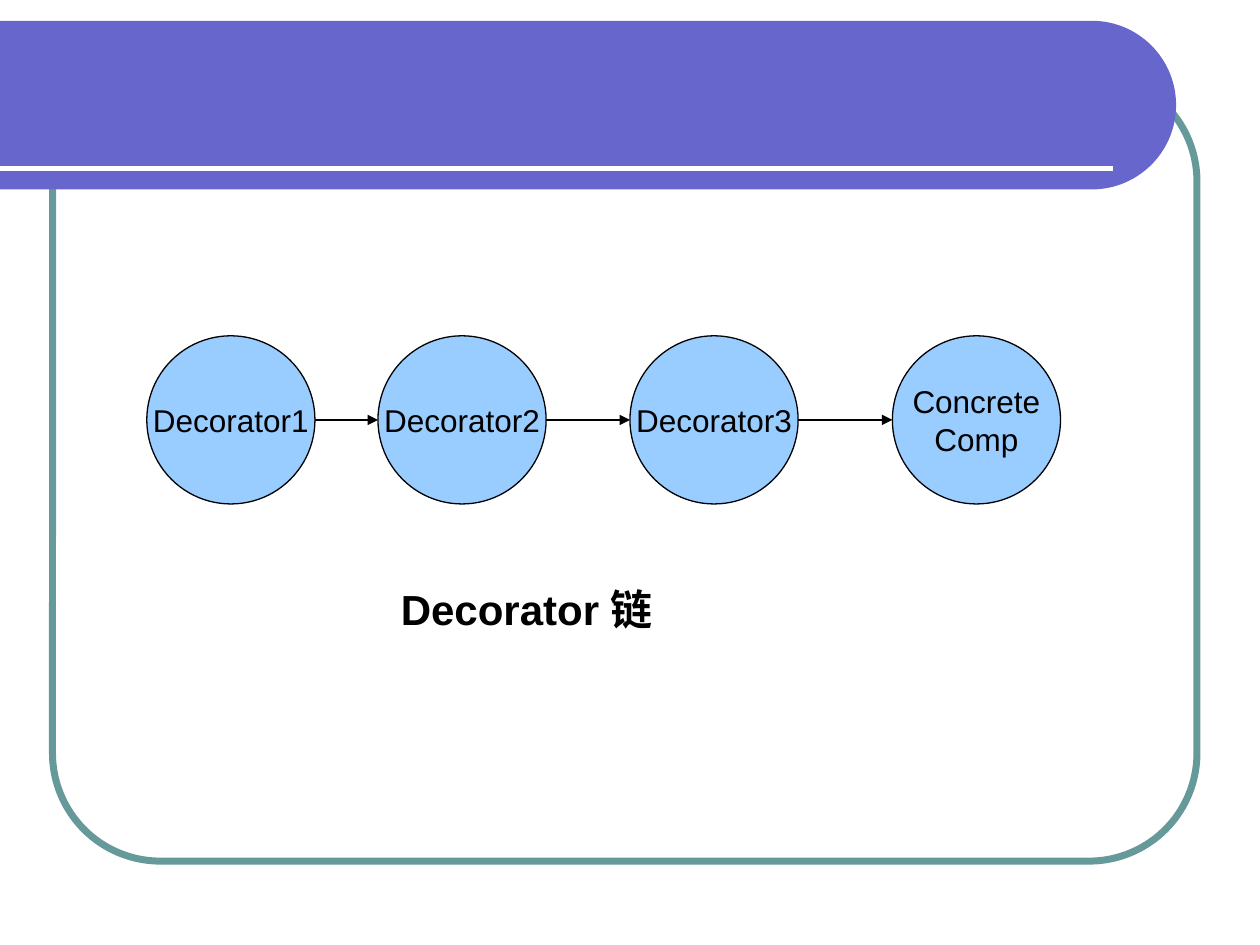
from math import cos, pi, sin

from lxml.etree import SubElement
from pptx import Presentation
from pptx.dml.color import RGBColor
from pptx.enum.shapes import MSO_CONNECTOR, MSO_SHAPE
from pptx.enum.text import MSO_ANCHOR, PP_ALIGN
from pptx.oxml.ns import qn
from pptx.util import Cm, Pt

COLORS = {
    "frame": "669999",
    "band": "6666CC",
    "rule": "FFFFFF",
    "circle": "99CCFF",
    "ink": "000000",
}
FONT = "Arial"


def add_line(x1, x2, y, color, width, arrow=False):
    s = slide.shapes.add_connector(MSO_CONNECTOR.STRAIGHT, Cm(x1), Cm(y), Cm(x2), Cm(y))
    s.line.color.rgb = RGBColor.from_string(COLORS[color])
    s.line.width = Pt(width)
    if arrow:
        SubElement(s.line._get_or_add_ln(), qn("a:tailEnd"), type="triangle")
    SubElement(s._element.spPr, qn("a:effectLst"))


def add_run(p, text, size, bold=False):
    r = p.add_run()
    r.text = text
    r.font.name = FONT
    r.font.size = Pt(size)
    r.font.bold = bold
    r.font.color.rgb = RGBColor.from_string(COLORS["ink"])


prs = Presentation()
prs.slide_width, prs.slide_height = Cm(25.4), Cm(19.05)
slide = prs.slides.add_slide(prs.slide_layouts[6])

# Rounded frame
s = slide.shapes.add_shape(MSO_SHAPE.ROUNDED_RECTANGLE, Cm(1.06), Cm(1.48), Cm(23.07), Cm(15.88))
s.adjustments[0] = 0.137
s.shadow.inherit = False
s.fill.background()
s.line.color.rgb = RGBColor.from_string(COLORS["frame"])
s.line.width = Pt(4)

# Title band with a semicircular right end
band_top, radius, arc_x = 0.42, 1.7, 22.01
steps = 60
arc = [
    (Cm(arc_x + radius * sin(pi * i / steps)), Cm(band_top + radius - radius * cos(pi * i / steps)))
    for i in range(steps + 1)
]
builder = slide.shapes.build_freeform(0, Cm(band_top))
builder.add_line_segments(arc + [(0, Cm(band_top + 2 * radius))], close=True)
s = builder.convert_to_shape()
s.shadow.inherit = False
s.fill.solid()
s.fill.fore_color.rgb = RGBColor.from_string(COLORS["band"])
s.line.fill.background()

add_line(0, 22.44, 3.39, "rule", 3)

# Chain of circles
diameter, chain_top = 3.39, 6.77
chain = [
    (2.96, ["Decorator1"]),
    (7.62, ["Decorator2"]),
    (12.7, ["Decorator3"]),
    (17.99, ["Concrete", "Comp"]),
]
for left, lines in chain:
    s = slide.shapes.add_shape(MSO_SHAPE.OVAL, Cm(left), Cm(chain_top), Cm(diameter), Cm(diameter))
    s.shadow.inherit = False
    s.fill.solid()
    s.fill.fore_color.rgb = RGBColor.from_string(COLORS["circle"])
    s.line.color.rgb = RGBColor.from_string(COLORS["ink"])
    s.line.width = Pt(0.75)
    tf = s.text_frame
    tf.word_wrap = False
    tf.vertical_anchor = MSO_ANCHOR.MIDDLE
    for i, line in enumerate(lines):
        p = tf.add_paragraph() if i else tf.paragraphs[0]
        p.alignment = PP_ALIGN.CENTER
        add_run(p, line, 18)

# Arrows from each circle to the next
for (left, _), (next_left, _) in zip(chain, chain[1:]):
    add_line(left + diameter, next_left, chain_top + diameter / 2, "ink", 0.75, arrow=True)

# Caption
s = slide.shapes.add_textbox(Cm(7.83), Cm(11.64), Cm(10.37), Cm(1.27))
tf = s.text_frame
tf.word_wrap = True
add_run(tf.paragraphs[0], "Decorator 链", 24, bold=True)

prs.save("out.pptx")
